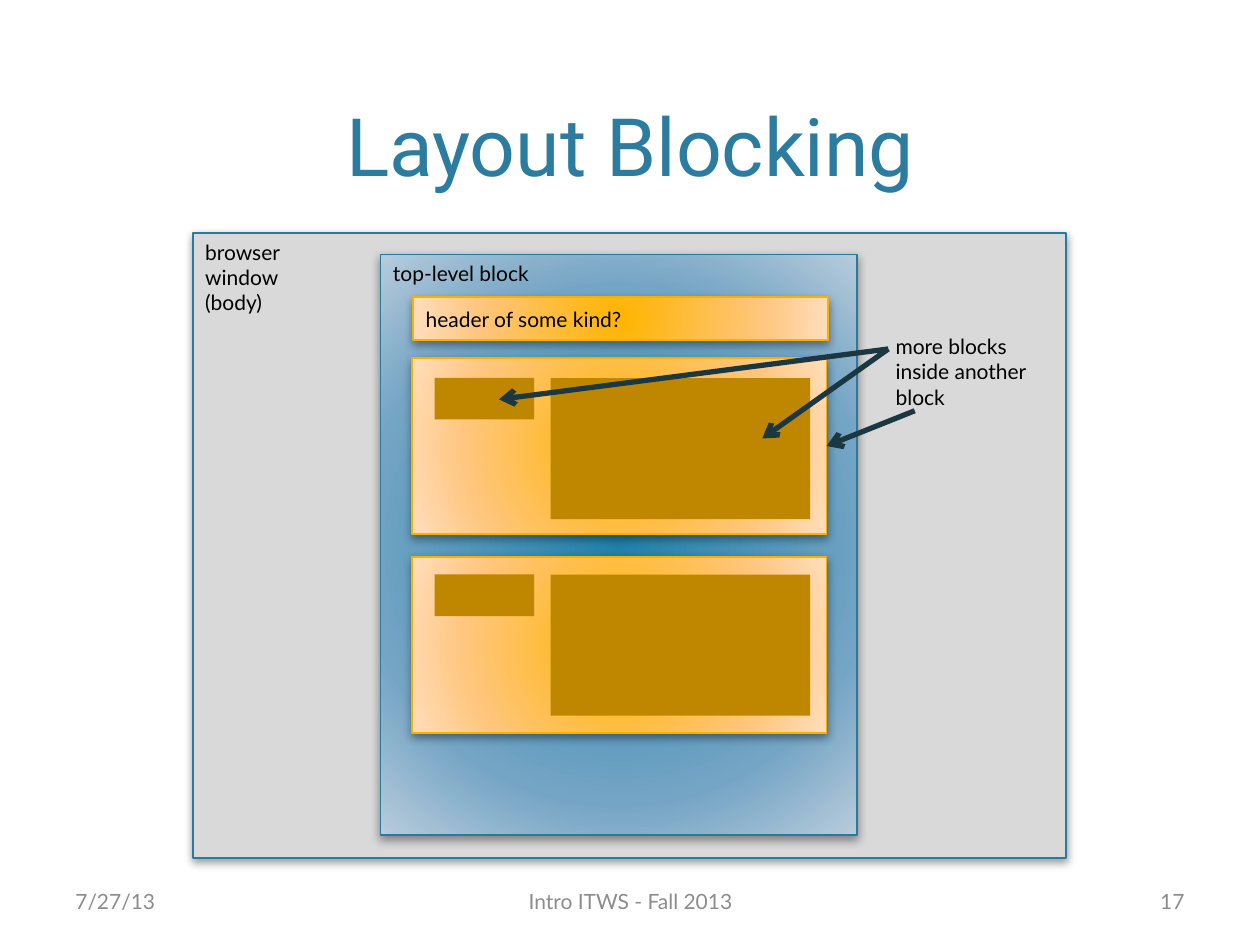
from pptx import Presentation
from pptx.dml.color import RGBColor
from pptx.enum.shapes import MSO_CONNECTOR, MSO_SHAPE
from pptx.enum.text import MSO_ANCHOR, PP_ALIGN
from pptx.oxml import parse_xml
from pptx.oxml.ns import nsdecls, qn
from pptx.util import Inches, Pt
from lxml.etree import SubElement

# The slide is a grid of 100 columns by 75 rows
COLS, ROWS = 100, 75
SLIDE_W, SLIDE_H = Inches(10), Inches(7.5)

BLACK = RGBColor(0x00, 0x00, 0x00)
GREY = RGBColor(0xD9, 0xD9, 0xD9)
FOOTER_GREY = RGBColor(0x8C, 0x8C, 0x8C)
TITLE_BLUE = RGBColor(0x2C, 0x7C, 0x9F)
EDGE_BLUE = RGBColor(0x28, 0x7A, 0x9E)
EDGE_ORANGE = RGBColor(0xF9, 0xB0, 0x00)
BROWN = RGBColor(0xBF, 0x87, 0x00)
ARROW = RGBColor(0x1B, 0x38, 0x42)
BLUES = (RGBColor(0x21, 0x80, 0xAA), RGBColor(0x75, 0xA5, 0xC5),
         RGBColor(0xB8, 0xCC, 0xDC))
ORANGES = (RGBColor(0xFF, 0xB4, 0x00), RGBColor(0xFF, 0xC6, 0x7F),
           RGBColor(0xFF, 0xDE, 0xBD))
STOPS = (0, 69, 100)

LABEL = {"name": "Lato", "size": Pt(12)}
HEADING = {"name": "Roboto", "size": Pt(46)}


def grid(*cells):
    """Turn alternating columns and rows into slide lengths."""
    units = (SLIDE_W / COLS, SLIDE_H / ROWS)
    return [round(c * units[i % 2]) for i, c in enumerate(cells)]


def write(sp, lines, font=LABEL, color=BLACK, align=PP_ALIGN.LEFT,
          anchor=MSO_ANCHOR.TOP):
    tf = sp.text_frame
    tf.word_wrap = True
    tf.vertical_anchor = anchor
    tf.text = lines
    for p in tf.paragraphs:
        p.alignment = align
        for r in p.runs:
            for key, value in font.items():
                setattr(r.font, key, value)
            r.font.color.rgb = color


def add_label(s, cells, text, **style):
    write(s.shapes.add_textbox(*grid(*cells)), text, **style)


def add_rect(s, cells, color):
    sp = s.shapes.add_shape(MSO_SHAPE.RECTANGLE, *grid(*cells))
    sp.shadow.inherit = False
    sp.fill.solid()
    sp.fill.fore_color.rgb = color
    sp.line.fill.background()
    return sp


def set_radial_fill(sp, colors):
    stops = "".join(
        f'<a:gs pos="{pos * 1000}"><a:srgbClr val="{color}"/></a:gs>'
        for pos, color in zip(STOPS, colors))
    fill = parse_xml(
        f'<a:gradFill {nsdecls("a")} rotWithShape="1"><a:gsLst>{stops}</a:gsLst>'
        '<a:path path="circle"><a:fillToRect l="100000" t="100000" '
        'r="100000" b="100000"/></a:path></a:gradFill>')
    spPr = sp._element.spPr
    spPr.replace(spPr.find(qn("a:solidFill")), fill)


def add_frame(s, cells, color, edge, gradient=None):
    """Outlined block with a soft shadow."""
    sp = add_rect(s, cells, color)
    sp.line.color.rgb = edge
    sp.line.width = Pt(1)
    if gradient:
        set_radial_fill(sp, gradient)
    sp._element.spPr.find(qn("a:effectLst")).append(parse_xml(
        f'<a:outerShdw {nsdecls("a")} blurRad="{Pt(5)}" dist="{Pt(2)}" '
        'dir="5400000" rotWithShape="0"><a:srgbClr val="000000">'
        '<a:alpha val="40000"/></a:srgbClr></a:outerShdw>'))
    return sp


def add_arrow(s, start, end):
    c = s.shapes.add_connector(MSO_CONNECTOR.STRAIGHT, *grid(*start, *end))
    c.line.color.rgb = ARROW
    c.line.width = Pt(3)
    SubElement(c.line._get_or_add_ln(), qn("a:tailEnd"), type="arrow")
    SubElement(c._element.spPr, qn("a:effectLst"))


def main():
    prs = Presentation()
    prs.slide_width, prs.slide_height = SLIDE_W, SLIDE_H
    s = prs.slides.add_slide(prs.slide_layouts[6])

    # Browser window, page block and header
    window = add_frame(s, (15.3, 18.5, 69.3, 49.6), GREY, EDGE_BLUE)
    write(window, "browser \vwindow\n(body)")
    page = add_frame(s, (30.2, 20.2, 37.8, 46.1), BLUES[0], EDGE_BLUE, BLUES)
    write(page, "top-level block")
    header = add_frame(s, (32.8, 23.6, 32.9, 3.4), ORANGES[0], EDGE_ORANGE,
                       ORANGES)
    write(header, "header of some kind?", anchor=MSO_ANCHOR.MIDDLE)

    # Two panels, each with a small and a large block
    for panel_row, block_row in ((28.4, 30), (44.2, 45.6)):
        add_frame(s, (32.7, panel_row, 32.9, 14), ORANGES[0], EDGE_ORANGE,
                  ORANGES)
        add_rect(s, (34.5, block_row, 7.9, 3.3), BROWN)
        add_rect(s, (43.7, block_row, 20.6, 11.2), BROWN)

    # Note and its arrows
    add_label(s, (70.1, 26, 13.6, 7.1), "more blocks inside another block")
    for start, end in (((70.5, 27.7), (60.5, 34.8)),
                       ((70.5, 27.7), (39.6, 31.7)),
                       ((72.6, 32.6), (65.6, 35.4))):
        add_arrow(s, start, end)

    # Title and footer
    add_label(s, (6, 1.2, 88, 14.6), "Layout Blocking", font=HEADING,
              color=TITLE_BLUE, align=PP_ALIGN.CENTER,
              anchor=MSO_ANCHOR.BOTTOM)
    for col, width, text, align in (
            (5, 23.3, "7/27/13", PP_ALIGN.LEFT),
            (34.2, 31.7, "Intro ITWS - Fall 2013", PP_ALIGN.CENTER),
            (71.7, 23.3, "17", PP_ALIGN.RIGHT)):
        add_label(s, (col, 69.5, width, 4), text, color=FOOTER_GREY,
                  align=align, anchor=MSO_ANCHOR.MIDDLE)

    prs.save("out.pptx")


if __name__ == "__main__":
    main()
